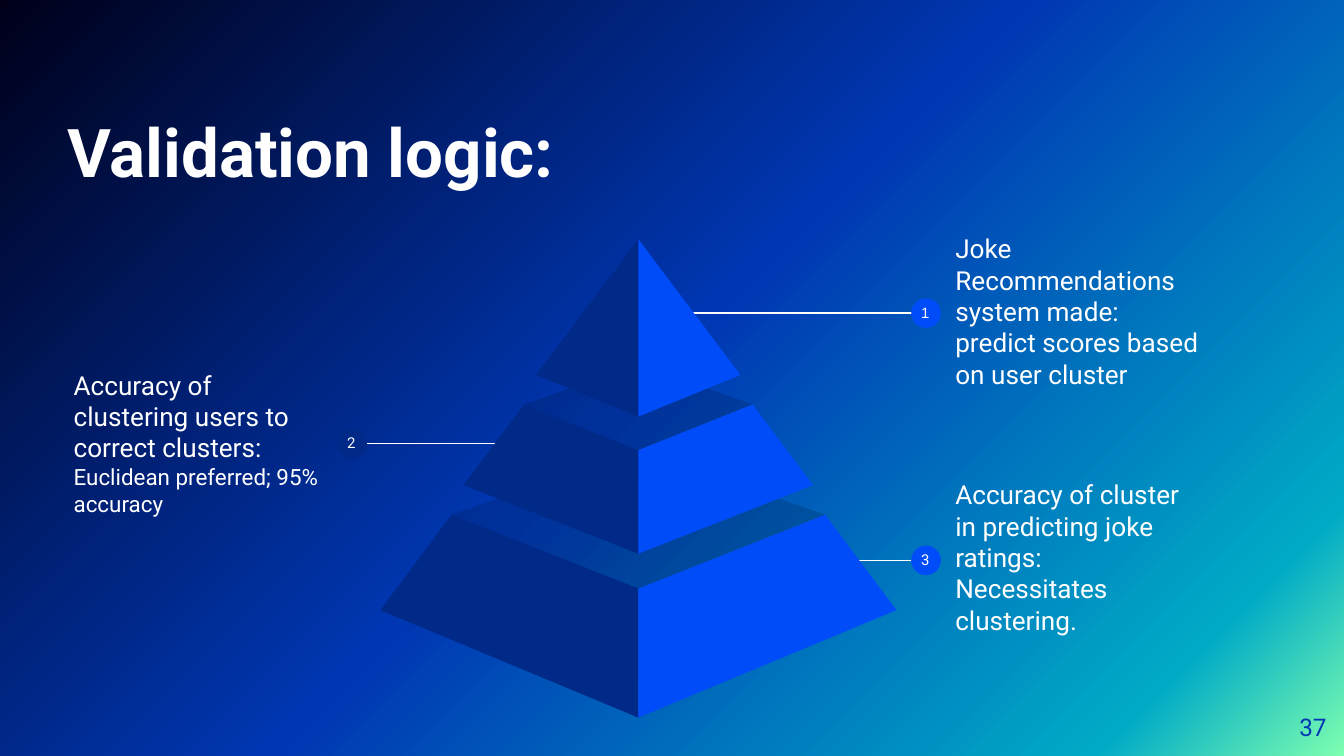
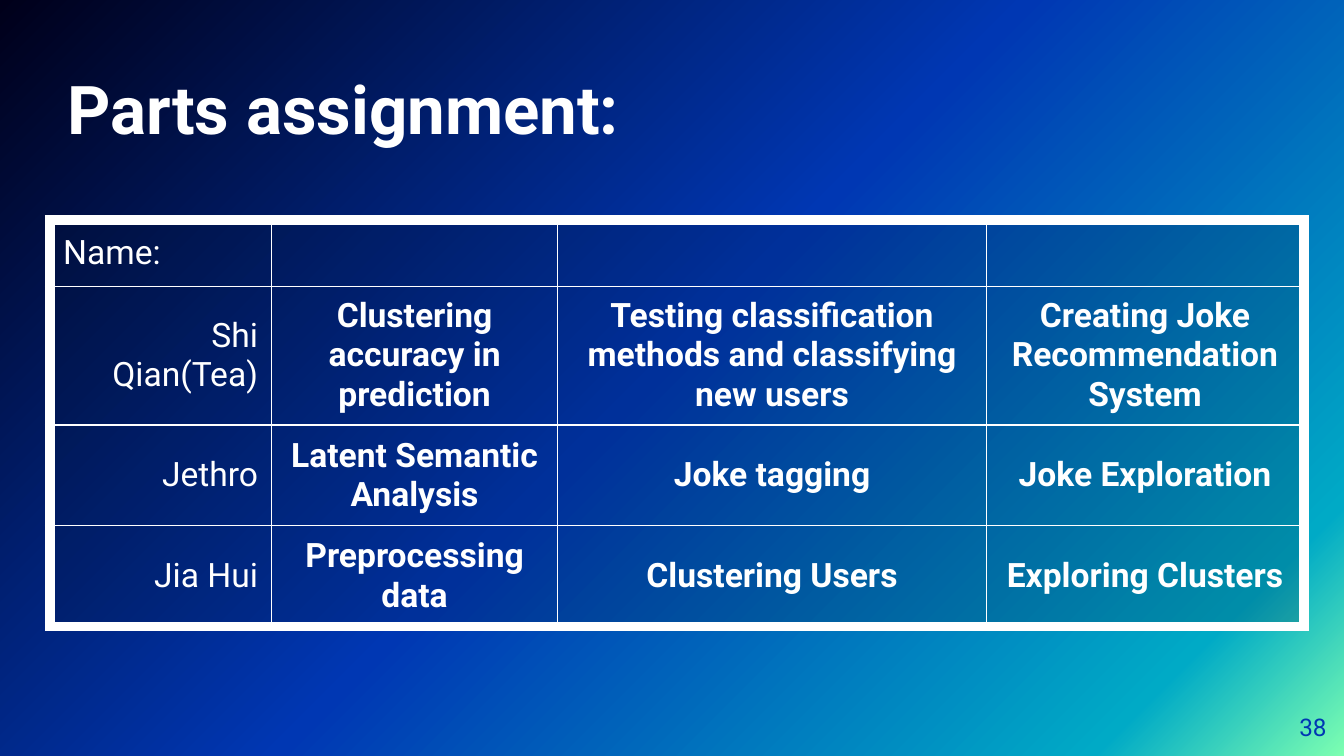
"""Build the validation pyramid slide and the parts assignment slide."""
from lxml import etree
from pptx import Presentation
from pptx.dml.color import RGBColor
from pptx.enum.shapes import MSO_CONNECTOR, MSO_SHAPE
from pptx.enum.text import MSO_ANCHOR, PP_ALIGN
from pptx.oxml import parse_xml
from pptx.oxml.ns import nsdecls, qn
from pptx.util import Inches, Pt

LEFT, CENTER, RIGHT = PP_ALIGN.LEFT, PP_ALIGN.CENTER, PP_ALIGN.RIGHT
TOP, MIDDLE, BOTTOM = MSO_ANCHOR.TOP, MSO_ANCHOR.MIDDLE, MSO_ANCHOR.BOTTOM
STRAIGHT, OVAL = MSO_CONNECTOR.STRAIGHT, MSO_SHAPE.OVAL

WHITE, NAVY, BLUE, ROYAL, SHADE = "FFFFFF", "002988", "004CF8", "0037B3", "001230"
GRADIENT = [(0, "7DFFB1"), (12, "00AAC6"), (51, ROYAL), (100, "00001A")]


def add_text(shapes, box, paragraphs, align=LEFT, anchor=MIDDLE, inset=0.1,
             color=WHITE, bold=False, font="Roboto", after=0, spacing=1.0):
    tf = shapes.add_textbox(*map(Inches, box)).text_frame
    tf.word_wrap = True
    tf.vertical_anchor = anchor
    tf.margin_left = tf.margin_right = tf.margin_top = tf.margin_bottom = Inches(inset)
    for i, runs in enumerate(paragraphs):
        p = tf.add_paragraph() if i else tf.paragraphs[0]
        p.alignment = align
        p.line_spacing = spacing
        p.space_after = Pt(after)
        for text, size in runs:
            r = p.add_run()
            r.text = text
            r.font.name, r.font.size, r.font.bold = font, Pt(size), bold
            r.font.color.rgb = RGBColor.from_string(color)


def set_fill(fill, properties, color, alpha=None):
    fill.solid()
    fill.fore_color.rgb = RGBColor.from_string(color)
    if alpha:
        clr = properties.find(qn("a:solidFill") + "/" + qn("a:srgbClr"))
        etree.SubElement(clr, qn("a:alpha")).set("val", str(alpha * 1000))


prs = Presentation()
prs.slide_width = Inches(10)
prs.slide_height = prs.slide_width * 9 // 16

stops = "".join(f'<a:gs pos="{pos * 1000}"><a:srgbClr val="{color}"/></a:gs>'
                for pos, color in GRADIENT)
slides = []
for title, top, number in [("Validation logic:", 0.48, "37"), ("Parts assignment:", 0.16, "38")]:
    s = prs.slides.add_slide(prs.slide_layouts[6])
    s.background.fill.solid()
    solid = s.element.find(".//" + qn("p:bgPr") + "/" + qn("a:solidFill"))
    solid.getparent().replace(solid, parse_xml(
        f'<a:gradFill {nsdecls("a")} rotWithShape="1"><a:gsLst>{stops}</a:gsLst>'
        f'<a:lin ang="{225 * 60000}" scaled="0"/></a:gradFill>'))
    add_text(s.shapes, (0.5, top, 6.59, 0.94), [[(title, 36)]],
             anchor=BOTTOM, inset=0, bold=True)
    add_text(s.shapes, (9.27, 5.19, 0.6, 0.43), [[(number, 13)]],
             align=RIGHT, inset=0, color=ROYAL)
    slides.append(s)
pyramid_slide, parts_slide = slides

callouts = [
    ("3", 4.17, 6.35, 6.99, 6.78, BLUE, "Roboto", (7.01, 3.39),
     [[("Accuracy of cluster in predicting joke ratings:", 14)],
      [("Necessitates clustering.", 14)]]),
    ("2", 3.3, 3.72, 2.58, 2.51, NAVY, "Roboto", (0.45, 2.54),
     [[("Accuracy of clustering users to correct clusters:", 14),
       (" Euclidean preferred; 95% accuracy", 12)]]),
    ("1", 2.33, 5.12, 6.99, 6.78, BLUE, "Arial", (7.01, 1.56),
     [[("Joke Recommendations system made: predict scores based on user cluster", 14)]]),
]
for number, y, start, end, dot, color, font, corner, paragraphs in callouts:
    shapes = pyramid_slide.shapes.add_group_shape().shapes
    line = shapes.add_connector(STRAIGHT, Inches(start), Inches(y), Inches(end), Inches(y))
    line.line.color.rgb = RGBColor.from_string(WHITE)
    line.line.width = Pt(0.75)
    etree.SubElement(line.element.spPr, qn("a:effectLst"))
    add_text(shapes, (*corner, 2.04, 1.51), paragraphs)
    sp = shapes.add_shape(OVAL, Inches(dot), Inches(y - 0.11), Inches(0.22), Inches(0.22))
    sp.shadow.inherit = False
    set_fill(sp.fill, sp.element.spPr, color)
    sp.line.fill.background()
    add_text(shapes, (dot - 0.03, y - 0.17, 0.27, 0.34), [[(number, 8)]],
             align=CENTER, anchor=TOP, font=font, after=16, spacing=1.15)

AXIS = 4.75
tops = [
    [(-1.39, 3.83), (0, 4.39), (1.39, 3.83), (0, 3.35)],
    [(-0.85, 3.01), (0, 3.35), (0.85, 3.01), (0, 2.71)],
]
sides = [
    [(1.39, 3.83), (1.92, 4.54), (0, 5.34), (0, 4.38)],
    [(0.85, 3.01), (0, 3.35), (0, 4.12), (1.3, 3.61)],
    [(0, 1.78), (0.76, 2.79), (0, 3.1)],
]
faces = []
for level, side in enumerate(sides):
    if level < len(tops):
        faces.append((tops[level], SHADE, 19))
    faces.append(([(-x, y) for x, y in side], NAVY, None))
    faces.append((side, BLUE, None))
shapes = pyramid_slide.shapes.add_group_shape().shapes
for points, color, alpha in faces:
    corners = [(Inches(AXIS + x), Inches(y)) for x, y in points]
    builder = shapes.build_freeform(*corners[0])
    builder.add_line_segments(corners[1:], close=True)
    sp = builder.convert_to_shape()
    sp.shadow.inherit = False
    set_fill(sp.fill, sp.element.spPr, color, alpha)
    sp.line.fill.background()

rows = [
    ["Name:", "", "", ""],
    ["Shi Qian(Tea)", "Clustering accuracy in prediction",
     "Testing classification methods and classifying new users",
     "Creating Joke Recommendation System"],
    ["Jethro", "Latent Semantic Analysis", "Joke tagging", "Joke Exploration"],
    ["Jia Hui", "Preprocessing data", "Clustering Users", "Exploring Clusters"],
]
widths = [1.65, 2.13, 3.19, 2.36]
heights = [0.49, 0.75, 0.75, 0.75]
last_row, last_col = len(rows) - 1, len(widths) - 1
table = parts_slide.shapes.add_table(len(rows), len(widths), Inches(0.37), Inches(1.64),
                                     Inches(sum(widths)), Inches(sum(heights))).table
table.first_row = table.horz_banding = False
for column, width in zip(table.columns, widths):
    column.width = Inches(width)
for row, height in zip(table.rows, heights):
    row.height = Inches(height)
for i, row in enumerate(rows):
    for j, text in enumerate(row):
        cell = table.cell(i, j)
        cell.vertical_anchor = MIDDLE
        cell.margin_left = cell.margin_right = Inches(0.1)
        cell.margin_top = cell.margin_bottom = Pt(4.75)
        p = cell.text_frame.paragraphs[0]
        p.alignment = CENTER if j else RIGHT if i else LEFT
        p.font.size = Pt(18)
        if text:
            r = p.add_run()
            r.text = text
            r.font.name, r.font.size, r.font.bold = "Roboto", Pt(18), j > 0
            r.font.color.rgb = RGBColor.from_string(WHITE)
        tcPr = cell._tc.tcPr
        set_fill(cell.fill, tcPr, SHADE, 19)
        outer = {"L": j == 0, "R": j == last_col, "T": i == 0, "B": i == last_row}
        for k, (edge, thick) in enumerate(outer.items()):
            tcPr.insert(k, parse_xml(
                f'<a:ln{edge} {nsdecls("a")} w="{Pt(6 if thick else 0.75)}"><a:solidFill>'
                f'<a:srgbClr val="{WHITE}"/></a:solidFill></a:ln{edge}>'))

prs.save("out.pptx")
